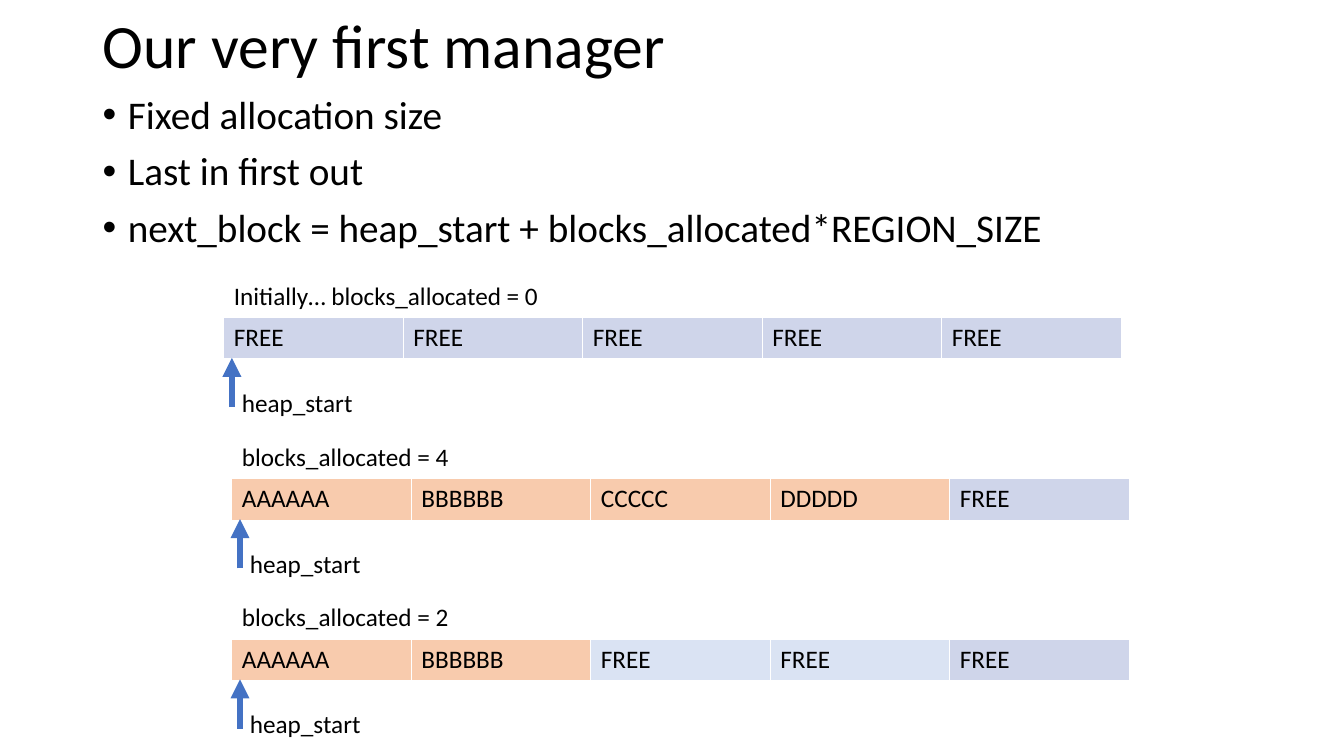
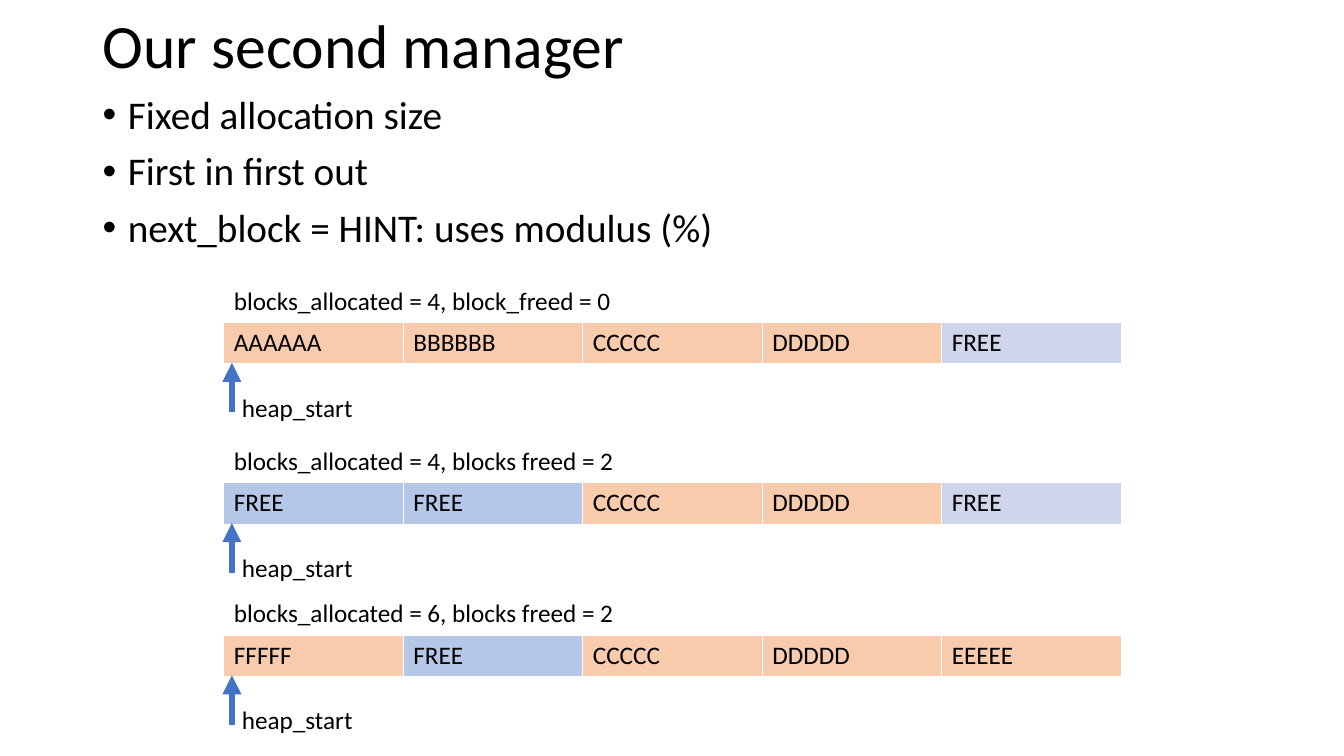
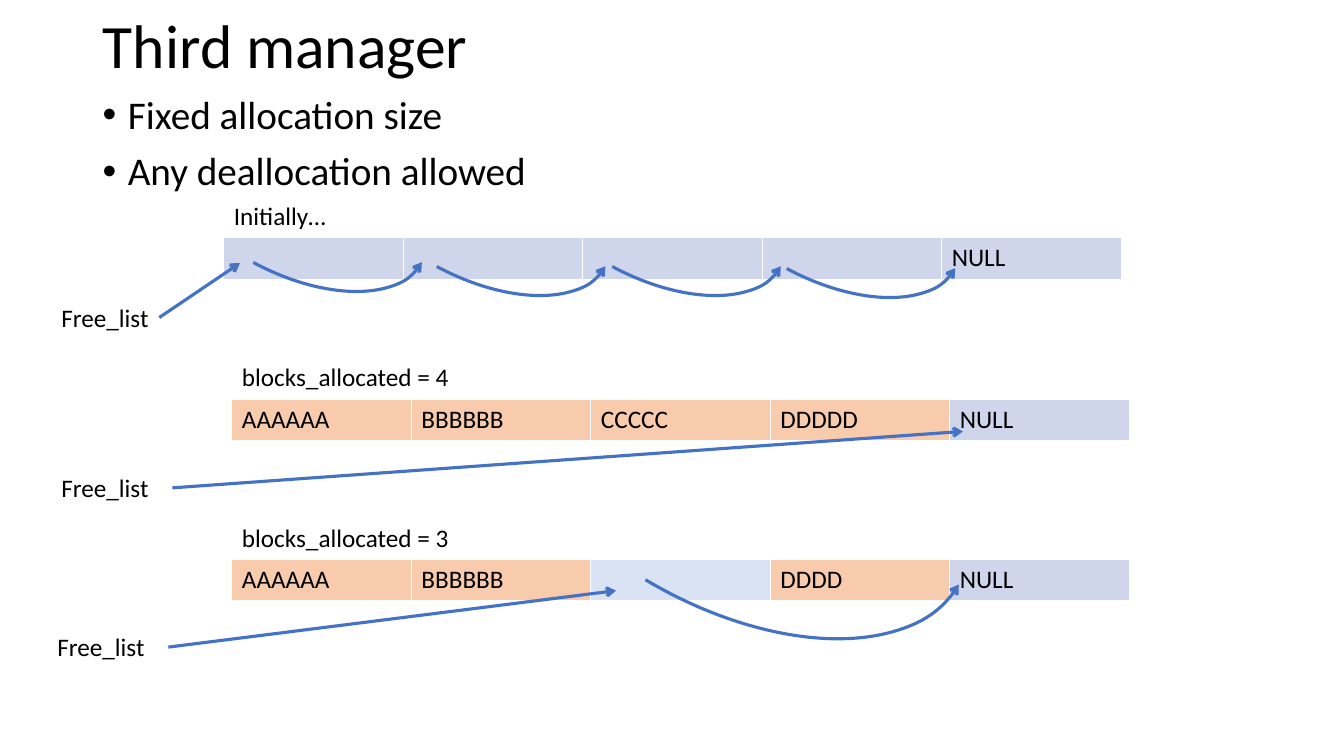
"""Three slides on memory managers, each with heap diagrams."""
from lxml.etree import SubElement
from pptx import Presentation
from pptx.dml.color import RGBColor
from pptx.enum.shapes import MSO_CONNECTOR as CONNECTOR, MSO_SHAPE as SHAPE
from pptx.enum.text import MSO_ANCHOR as ANCHOR, MSO_AUTO_SIZE as AUTO_SIZE, PP_ALIGN as ALIGN
from pptx.oxml.ns import qn
from pptx.util import Inches, Pt

rgb = RGBColor.from_string
FONT = "Calibri"
BLACK, WHITE, BLUE = "000000", "FFFFFF", "4472C4"
USED, FREE, FREED, RELEASED = "F8CBAD", "CFD5EA", "DAE3F3", "B4C7E7"
BLOCKS, BLOCK_WIDTH, ROW_HEIGHT = 5, 1.78, 0.41


def write(frame, lines, size):
    """Fill a text frame with lines in the shared font."""
    frame.text = "\n".join(lines)
    for paragraph in frame.paragraphs:
        paragraph.font.size = Pt(size)
        for run in paragraph.runs:
            run.font.name = FONT
            run.font.size = Pt(size)
            run.font.bold = False
            run.font.color.rgb = rgb(BLACK)


def style_arrow(arrow, width, head):
    """Give a line its colour, width and arrowhead, without a shadow."""
    arrow.line.color.rgb = rgb(BLUE)
    arrow.line.width = Pt(width)
    outline = arrow.element.spPr.find(qn("a:ln"))
    SubElement(outline, qn("a:tailEnd"), type=head)
    SubElement(arrow.element.spPr, qn("a:effectLst"))


managers = [
    ("Our very first manager",
     ["Fixed allocation size", "Last in first out",
      "next_block = heap_start + blocks_allocated*REGION_SIZE"],
     [(2.22, 2.74, "Initially… blocks_allocated = 0", ["FREE"] * 5, [FREE] * 5),
      (2.3, 4.34, "blocks_allocated = 4",
       ["AAAAAA", "BBBBBB", "CCCCC", "DDDDD", "FREE"], [USED] * 4 + [FREE]),
      (2.3, 5.93, "blocks_allocated = 2",
       ["AAAAAA", "BBBBBB", "FREE", "FREE", "FREE"], [USED] * 2 + [FREED] * 2 + [FREE])],
     True),
    ("Our second manager",
     ["Fixed allocation size", "First in first out", "next_block = HINT: uses modulus (%)"],
     [(2.22, 2.79, "blocks_allocated = 4, block_freed = 0",
       ["AAAAAA", "BBBBBB", "CCCCC", "DDDDD", "FREE"], [USED] * 4 + [FREE]),
      (2.22, 4.38, "blocks_allocated = 4, blocks freed = 2",
       ["FREE", "FREE", "CCCCC", "DDDDD", "FREE"], [RELEASED] * 2 + [USED] * 2 + [FREE]),
      (2.22, 5.89, "blocks_allocated = 6, blocks freed = 2",
       ["FFFFF", "FREE", "CCCCC", "DDDDD", "EEEEE"], [USED, RELEASED] + [USED] * 3)],
     True),
    ("Third manager",
     ["Fixed allocation size", "Any deallocation allowed"],
     [(2.22, 1.95, "Initially…", [""] * 4 + ["NULL"], [FREE] * 5),
      (2.3, 3.55, "blocks_allocated = 4",
       ["AAAAAA", "BBBBBB", "CCCCC", "DDDDD", "NULL"], [USED] * 4 + [FREE]),
      (2.3, 5.14, "blocks_allocated = 3",
       ["AAAAAA", "BBBBBB", "", "DDDD", "NULL"], [USED, USED, FREED, USED, FREE])],
     False),
]

deck = Presentation()
deck.slide_width, deck.slide_height = Inches(13.33), Inches(7.5)

for title, points, heaps, has_heap_start in managers:
    slide = deck.slides.add_slide(deck.slide_layouts[5])
    heading = slide.shapes.title
    heading.left, heading.top = Inches(0.92), Inches(-0.24)
    heading.width, heading.height = Inches(11.5), Inches(1.45)
    write(heading.text_frame, [title], 44)
    heading.text_frame.vertical_anchor = ANCHOR.MIDDLE
    heading.text_frame.paragraphs[0].alignment = ALIGN.LEFT
    heading.text_frame.paragraphs[0].line_spacing = 0.9

    body = slide.shapes.add_textbox(Inches(0.92), Inches(0.9), Inches(11.5), Inches(4.76)).text_frame
    body.word_wrap = True
    body.text = "\n".join(points)
    for index, point in enumerate(body.paragraphs):
        properties = point._p.get_or_add_pPr()
        properties.set("marL", str(Inches(0.25)))
        properties.set("indent", str(Inches(-0.25)))
        SubElement(properties, qn("a:buFont"), typeface="Arial")
        SubElement(properties, qn("a:buChar"), char="•")
        point.line_spacing = 0.9
        point.space_before = Pt(10 if index else 0)
        point.font.size = Pt(28)
        for run in point.runs:
            run.font.name = FONT
            run.font.size = Pt(28)
            run.font.color.rgb = rgb(BLACK)

    for left, top, caption, words, fills in heaps:
        heap = slide.shapes.add_table(
            2, BLOCKS, Inches(left), Inches(top),
            Inches(BLOCKS * BLOCK_WIDTH), Inches(2 * ROW_HEIGHT)).table
        heap.horz_banding = False
        for row in heap.rows:
            row.height = Inches(ROW_HEIGHT)
        heap.cell(0, 0).merge(heap.cell(0, BLOCKS - 1))
        write(heap.cell(0, 0).text_frame, [caption], 18)
        for column, (word, fill) in enumerate(zip(words, fills)):
            heap.columns[column].width = Inches(BLOCK_WIDTH)
            write(heap.cell(1, column).text_frame, [word], 18)
            for row, shade in enumerate([WHITE, fill]):
                heap.cell(row, column).fill.solid()
                heap.cell(row, column).fill.fore_color.rgb = rgb(shade)

        if has_heap_start:
            start = Inches(left + 0.08)
            arrow = slide.shapes.add_connector(
                CONNECTOR.STRAIGHT, start, Inches(top + 1.3), start, Inches(top + 0.81))
            style_arrow(arrow, 4.5, "triangle")
            label = slide.shapes.add_textbox(start, Inches(top + 1.05), Inches(1.31), Inches(0.4))
            label.text_frame.word_wrap = False
            label.text_frame.auto_size = AUTO_SIZE.SHAPE_TO_FIT_TEXT
            write(label.text_frame, ["heap_start"], 18)

free_lists = [
    (0.51, 2.95, (1.58, 3.15), (2.38, 2.61)),
    (0.51, 4.64, (1.71, 4.84), (9.55, 4.28)),
    (0.47, 6.21, (1.67, 6.42), (6.11, 5.86)),
]
for left, top, tail, head in free_lists:
    label = slide.shapes.add_textbox(Inches(left), Inches(top), Inches(1.08), Inches(0.4))
    label.text_frame.word_wrap = False
    label.text_frame.auto_size = AUTO_SIZE.SHAPE_TO_FIT_TEXT
    write(label.text_frame, ["Free_list"], 18)
    pointer = slide.shapes.add_connector(
        CONNECTOR.STRAIGHT, *[Inches(value) for value in tail + head])
    style_arrow(pointer, 2.25, "arrow")

next_links = [
    (1.42, 1.11, 2.94, 1.59, 28.3),
    (3.24, 1.15, 2.94, 1.59, 28.3),
    (4.98, 1.15, 2.94, 1.59, 28.3),
    (6.71, 1.17, 2.94, 1.59, 28.3),
    (4.5, 2.87, 5.39, 3.1, 30.8),
]
for *box, angle in next_links:
    link = slide.shapes.add_shape(SHAPE.ARC, *[Inches(value) for value in box])
    link.rotation = angle
    link.element.spPr.get_or_add_xfrm().set("flipV", "1")
    link.fill.background()
    style_arrow(link, 2.25, "arrow")

deck.save("out.pptx")
